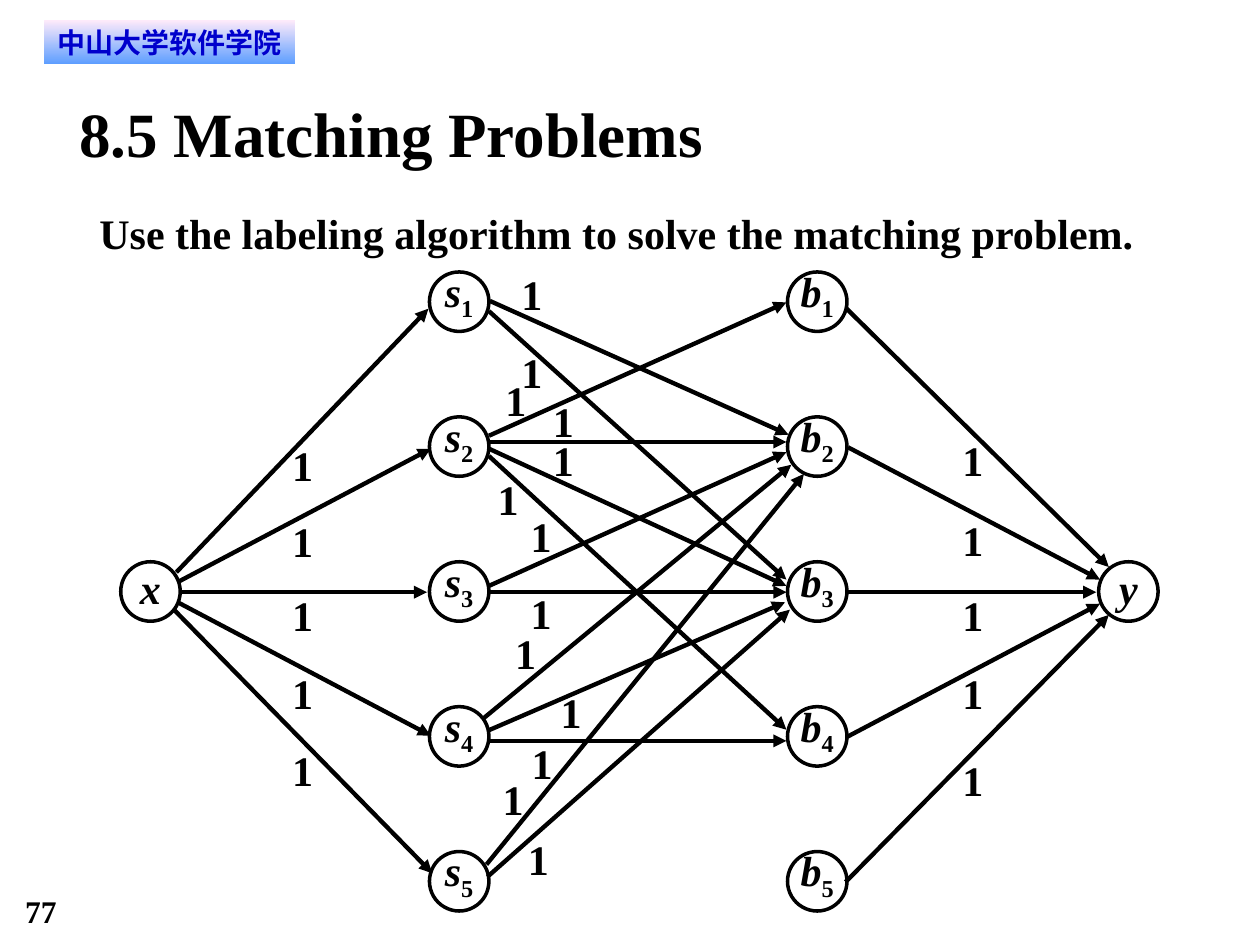
from pptx import Presentation
from pptx.dml.color import RGBColor
from pptx.enum.shapes import MSO_CONNECTOR as Connector, MSO_SHAPE as Shape
from pptx.enum.text import MSO_ANCHOR as Anchor, PP_ALIGN as Align
from pptx.oxml.ns import qn
from pptx.util import Pt
from lxml.etree import SubElement

BLACK = RGBColor(0x00, 0x00, 0x00)
HEADER_BLUE = RGBColor(0x00, 0x00, 0xCC)
GRADIENT_TOP = RGBColor(0xFF, 0xEB, 0xFA)
GRADIENT_BOTTOM = RGBColor(0x5E, 0x9E, 0xFF)
SERIF = "Times New Roman"

# Network grid
NODE_SIZE = 34
FIRST_ROW, ROW_PITCH = 155.4, 82.8
SOURCE_LEFT, STUDENT_LEFT, BOOK_LEFT, SINK_LEFT = 69, 245.4, 450, 627.8

# Arrows: start x, start y, end x, end y
STUDENT_BOOK_ARROWS = [
    (280, 172, 450.6, 248.4), (279.4, 177.8, 449.4, 331.2),
    (279.4, 249, 449.4, 172.8), (279.4, 252.6, 449.4, 252.6),
    (279.4, 256.4, 449.4, 334.8), (279.4, 260.6, 449.4, 417),
    (279.4, 334.8, 449.4, 258.4), (279.4, 338.4, 449.4, 338.4),
    (276.4, 410.4, 452.2, 265.6), (278.6, 417.6, 448.6, 344.2),
    (279.4, 423.4, 449.4, 423.4), (278, 494, 459.4, 270.8),
    (278.6, 501, 451.4, 348.4),
]
SOURCE_ARROWS = [
    (100.8, 327, 244.8, 176.4), (101.6, 332.6, 246.2, 256.4),
    (102.2, 338.4, 244, 338.4), (101.6, 344.2, 246.2, 420.4),
    (99.4, 348.4, 247, 499),
]
SINK_ARROWS = [
    (483.8, 176.4, 633.6, 324), (484.6, 255.6, 628.6, 331.2),
    (484.6, 338.4, 626.4, 338.4), (483.8, 421.2, 628.6, 345),
    (483.2, 504, 633.6, 351.4),
]

# Capacity labels: left, top
SOURCE_LABELS = [(167, top) for top in (251.2, 294.4, 337, 381.6, 425.6)]
SINK_LABELS = [(550, top) for top in (248.4, 293.8, 337, 381.6, 431.2)]
STUDENT_BOOK_LABELS = [
    (298, 153.4), (298, 198), (288.8, 213.8), (316, 226), (316, 248.4),
    (284.4, 270.8), (303.2, 291.6), (303.2, 335.6), (294.4, 358.6),
    (320.4, 392.4), (303.8, 421.2), (287.2, 442), (301.6, 476.6),
]


def format_frame(frame, anchor=Anchor.TOP, wrap=True, inset_x=0, inset_y=0):
    frame.word_wrap = wrap
    frame.vertical_anchor = anchor
    frame.margin_left = frame.margin_right = Pt(inset_x)
    frame.margin_top = frame.margin_bottom = Pt(inset_y)


def format_paragraph(paragraph, size, align=Align.LEFT, name=SERIF, color=BLACK):
    paragraph.alignment = align
    font = paragraph.font
    font.name, font.size, font.bold = name, Pt(size), True
    font.color.rgb = color


def add_text(slide, text, left, top, width, height, size, wrap=True):
    box = slide.shapes.add_textbox(Pt(left), Pt(top), Pt(width), Pt(height))
    format_frame(box.text_frame, wrap=wrap)
    paragraph = box.text_frame.paragraphs[0]
    paragraph.text = text
    format_paragraph(paragraph, size)
    return paragraph


def add_title(slide, text):
    title = slide.shapes.title
    title.left, title.top, title.width, title.height = Pt(45.4), Pt(54), Pt(630), Pt(43.2)
    format_frame(title.text_frame, Anchor.MIDDLE)
    title.text_frame.text = text
    format_paragraph(title.text_frame.paragraphs[0], 36)


def add_header(slide, text):
    banner = slide.shapes.add_shape(Shape.RECTANGLE, Pt(25.4), Pt(11.4), Pt(143.2), Pt(25.2))
    banner.shadow.inherit = False
    banner.line.fill.background()
    banner.fill.gradient()
    banner.fill.gradient_angle = 270
    for stop, position, color in zip(
        banner.fill.gradient_stops, (0, 1), (GRADIENT_TOP, GRADIENT_BOTTOM)
    ):
        stop.position = position
        stop.color.rgb = color
    format_frame(banner.text_frame, inset_x=6, inset_y=3)
    paragraph = banner.text_frame.paragraphs[0]
    paragraph.text = text
    format_paragraph(paragraph, 16, Align.CENTER, "DejaVu Sans", HEADER_BLUE)


def add_node(slide, letter, left, row, subscript=""):
    top = FIRST_ROW + (row - 1) * ROW_PITCH
    node = slide.shapes.add_shape(Shape.OVAL, Pt(left), Pt(top), Pt(NODE_SIZE), Pt(NODE_SIZE))
    node.shadow.inherit = False
    node.fill.background()
    node.line.color.rgb = BLACK
    node.line.width = Pt(2)
    format_frame(node.text_frame, Anchor.BOTTOM, wrap=False)
    paragraph = node.text_frame.paragraphs[0]
    format_paragraph(paragraph, 24, Align.CENTER)
    letter_run = paragraph.add_run()
    letter_run.text = letter
    letter_run.font.italic = True
    if subscript:
        index_run = paragraph.add_run()
        index_run.text = subscript
        index_run.font.italic = False
        index_run.font._element.set("baseline", "-25000")


def add_arrow(slide, start_x, start_y, end_x, end_y):
    arrow = slide.shapes.add_connector(
        Connector.STRAIGHT, Pt(start_x), Pt(start_y), Pt(end_x), Pt(end_y)
    )
    arrow.line.color.rgb = BLACK
    arrow.line.width = Pt(2.5)
    properties = arrow._element.spPr
    SubElement(properties.find(qn("a:ln")), qn("a:tailEnd"), type="triangle")
    SubElement(properties, qn("a:effectLst"))


def main():
    presentation = Presentation()
    presentation.slide_width, presentation.slide_height = Pt(720), Pt(540)
    slide = presentation.slides.add_slide(presentation.slide_layouts[5])

    # Page number, header, title and task
    add_text(slide, "77", 14.4, 509.8, 54, 21.6, 18)
    add_header(slide, "中山大学软件学院")
    add_title(slide, "8.5 Matching Problems")
    task = add_text(slide, "Use the labeling algorithm to solve the matching problem.",
                    56.8, 113, 626.4, 34.6, 24)
    task.line_spacing = 1.2

    # Nodes
    for letter, left in (("s", STUDENT_LEFT), ("b", BOOK_LEFT)):
        for row in range(1, 6):
            add_node(slide, letter, left, row, str(row))
    add_node(slide, "x", SOURCE_LEFT, 3)
    add_node(slide, "y", SINK_LEFT, 3)

    # Edges and their capacities
    for points in STUDENT_BOOK_ARROWS + SOURCE_ARROWS + SINK_ARROWS:
        add_arrow(slide, *points)
    for left, top in SOURCE_LABELS + SINK_LABELS + STUDENT_BOOK_LABELS:
        add_text(slide, "1", left, top, 12, 28.8, 24, wrap=False)

    presentation.save("out.pptx")


if __name__ == "__main__":
    main()
